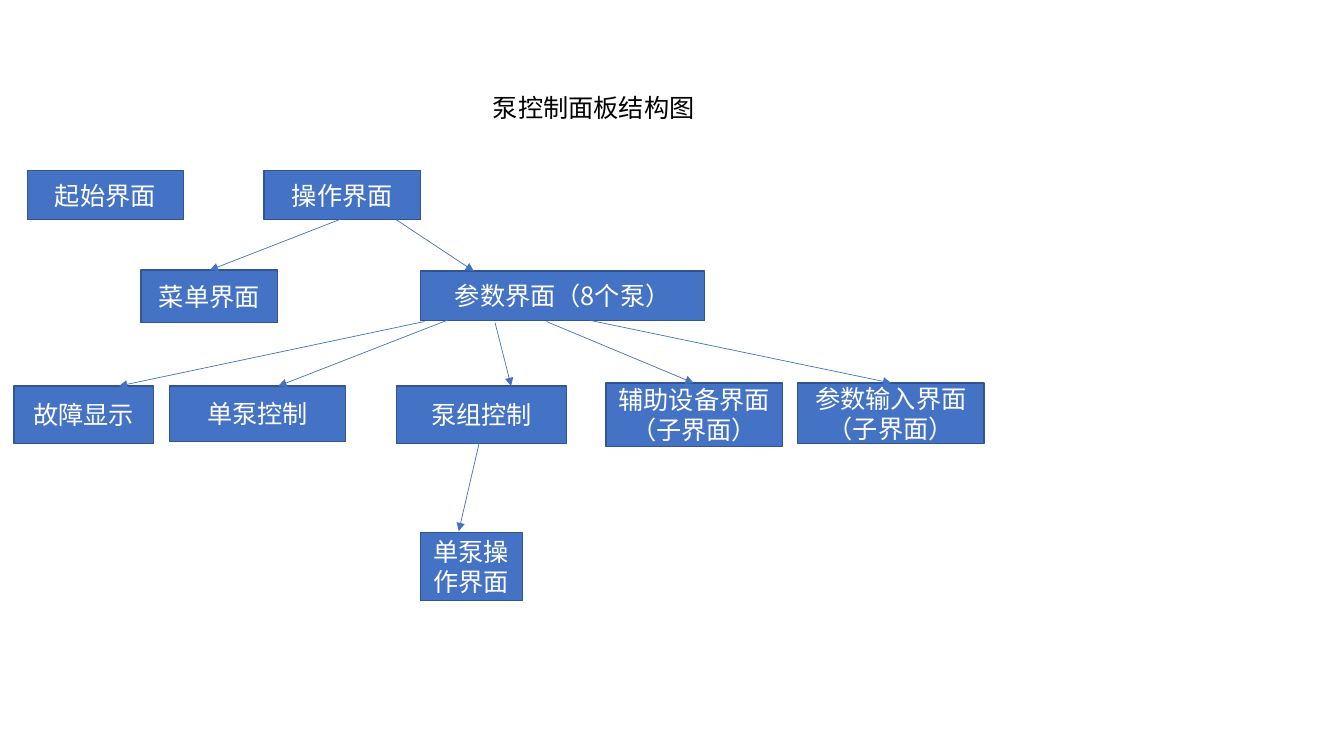
import dataclasses

import pptx
import pptx.dml.color
import pptx.enum.shapes
import pptx.enum.text
import pptx.oxml
import pptx.oxml.ns
import pptx.util

Inches = pptx.util.Inches
Pt = pptx.util.Pt
RGBColor = pptx.dml.color.RGBColor


@dataclasses.dataclass(frozen=True)
class Theme:
    """Colours, type and line widths of the slide."""
    fill: RGBColor = RGBColor(0x44, 0x72, 0xC4)
    border: RGBColor = RGBColor(0x32, 0x54, 0x91)
    light: RGBColor = RGBColor(0xFF, 0xFF, 0xFF)
    dark: RGBColor = RGBColor(0, 0, 0)
    font: str = "Noto Sans CJK SC"
    size: int = 18
    border_width: float = 1
    arrow_width: float = 0.5


@dataclasses.dataclass(frozen=True)
class Screen:
    """A panel screen in the tree, measured in inches."""
    label: str
    left: float
    top: float
    width: float
    height: float


@dataclasses.dataclass(frozen=True)
class Arrow:
    """A link from a parent screen to a child, in inches."""
    start: tuple[float, float]
    end: tuple[float, float]


THEME = Theme()
TITLE = Screen("泵控制面板结构图", 4.79, 0.87, 4.73, 0.4)
SCREENS = [
    Screen("起始界面", 0.27, 1.69, 1.55, 0.49),
    Screen("操作界面", 2.62, 1.69, 1.55, 0.49),
    Screen("菜单界面", 1.4, 2.68, 1.35, 0.52),
    Screen("参数界面（8个泵）", 4.17, 2.69, 2.82, 0.49),
    Screen("故障显示", 0.14, 3.83, 1.38, 0.57),
    Screen("单泵控制", 1.68, 3.83, 1.75, 0.55),
    Screen("泵组控制", 3.93, 3.83, 1.69, 0.57),
    Screen("辅助设备界面（子界面）", 6.01, 3.8, 1.75, 0.63),
    Screen("参数输入界面（子界面）", 7.91, 3.8, 1.85, 0.6),
    Screen("单泵操作界面", 4.17, 5.28, 1.01, 0.68),
]
ARROWS = [
    Arrow((3.39, 2.17), (2.08, 2.68)),
    Arrow((3.93, 2.18), (4.7, 2.69)),
    Arrow((4.21, 3.19), (1.18, 3.83)),
    Arrow((4.48, 3.16), (2.76, 3.83)),
    Arrow((4.91, 3.2), (5.07, 3.83)),
    Arrow((5.42, 3.19), (6.88, 3.8)),
    Arrow((5.86, 3.18), (8.84, 3.8)),
    Arrow((4.77, 4.32), (4.55, 5.27)),
]


def add_child(parent, tag: str, **attributes: str) -> None:
    """Append a drawing element with attributes to parent."""
    child = pptx.oxml.parse_xml(f"<{tag} {pptx.oxml.ns.nsdecls('a')}/>")
    for name, value in attributes.items():
        child.set(name, value)
    parent.append(child)


def write(box, text: str, color: RGBColor) -> None:
    """Write one run of text into a wrapping box."""
    box.text_frame.word_wrap = True
    span = box.text_frame.paragraphs[0].add_run()
    span.text = text
    span.font.size = Pt(THEME.size)
    span.font.color.rgb = color
    span.font.name = THEME.font
    add_child(span.font._element, "a:ea", typeface=THEME.font)


def draw_title(page, title: Screen) -> None:
    """Draw the heading as a text box."""
    box = page.shapes.add_textbox(Inches(title.left), Inches(title.top),
                                  Inches(title.width), Inches(title.height))
    write(box, title.label, THEME.dark)
    box.text_frame.auto_size = pptx.enum.text.MSO_AUTO_SIZE.SHAPE_TO_FIT_TEXT


def draw_screen(page, screen: Screen) -> None:
    """Draw one screen as a labelled rectangle."""
    box = page.shapes.add_shape(
        pptx.enum.shapes.MSO_SHAPE.RECTANGLE,
        Inches(screen.left), Inches(screen.top),
        Inches(screen.width), Inches(screen.height))
    box.shadow.inherit = False
    box.fill.solid()
    box.fill.fore_color.rgb = THEME.fill
    box.line.color.rgb = THEME.border
    box.line.width = Pt(THEME.border_width)
    write(box, screen.label, THEME.light)
    box.text_frame.vertical_anchor = pptx.enum.text.MSO_ANCHOR.MIDDLE
    box.text_frame.paragraphs[0].alignment = pptx.enum.text.PP_ALIGN.CENTER


def draw_arrow(page, arrow: Arrow) -> None:
    """Draw a thin line with a triangle at its end."""
    line = page.shapes.add_connector(
        pptx.enum.shapes.MSO_CONNECTOR.STRAIGHT,
        *map(Inches, arrow.start + arrow.end))
    line.line.color.rgb = THEME.fill
    line.line.width = Pt(THEME.arrow_width)
    add_child(line.line._get_or_add_ln(), "a:tailEnd", type="triangle")
    add_child(line._element.spPr, "a:effectLst")


def main() -> None:
    """Build the slide and save it."""
    deck = pptx.Presentation()
    deck.slide_width = Inches(13.33)
    deck.slide_height = Inches(7.5)
    page = deck.slides.add_slide(deck.slide_layouts[6])
    draw_title(page, TITLE)
    for screen in SCREENS:
        draw_screen(page, screen)
    for arrow in ARROWS:
        draw_arrow(page, arrow)
    deck.save("out.pptx")


main()
